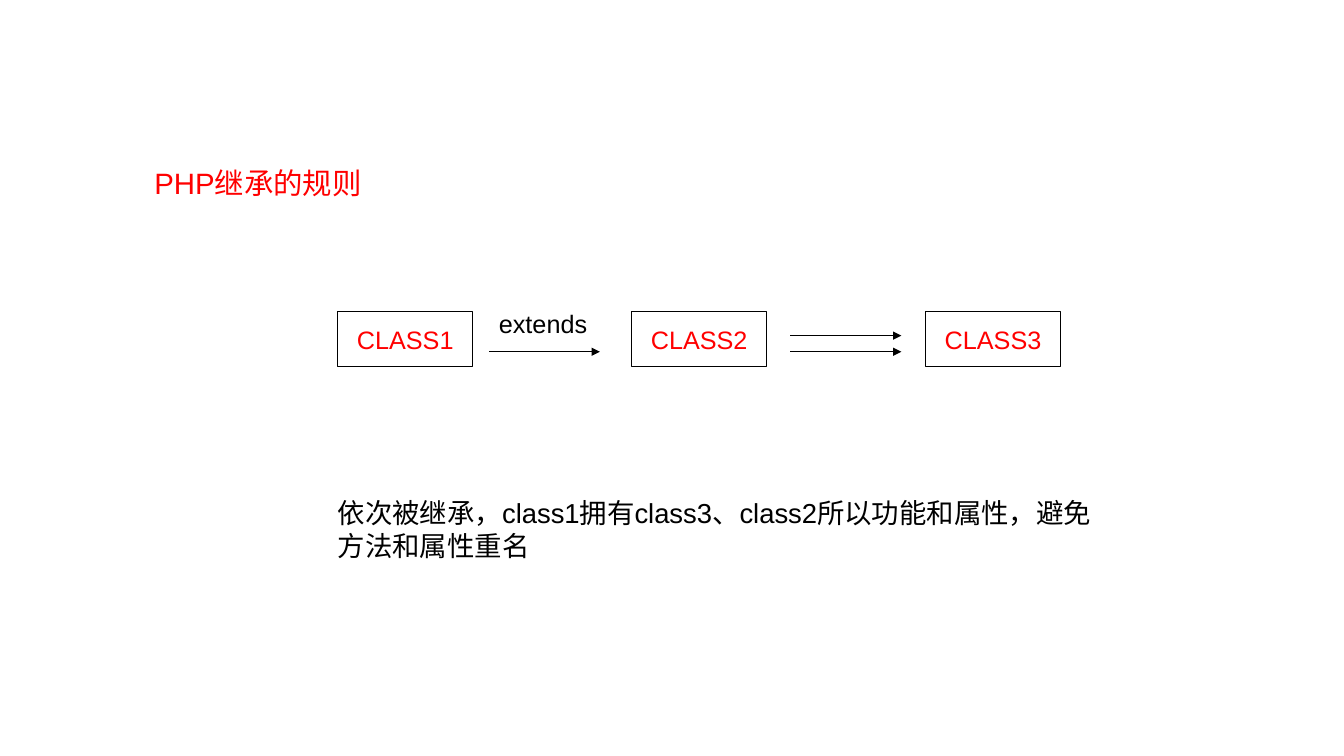
import dataclasses

import lxml.etree
import pptx
import pptx.dml.color
import pptx.enum.shapes
import pptx.enum.text
import pptx.oxml.ns
import pptx.shapes.base
import pptx.slide
import pptx.util

Inches = pptx.util.Inches
Align = pptx.enum.text.PP_ALIGN
Anchor = pptx.enum.text.MSO_ANCHOR

HUES = {"ink": "000000", "key": "FF0000", "paper": "FFFFFF"}
FONT = "Arial"
LINE = 0.75

# Class row: three boxes at an equal pitch
LEFT, TOP, PITCH = 3.35, 3.09, 2.915
WIDE, HIGH = 1.34, 0.55
REACH = 1.1


@dataclasses.dataclass
class Label:
    text: str
    size: float
    hue: str
    align: Align = Align.LEFT
    anchor: Anchor = Anchor.TOP
    wrap: bool = True
    inset: tuple[float, float] = (0, 0)


@dataclasses.dataclass
class Arrow:
    left: float
    top: float


ARROWS = [Arrow(4.85, 3.49), Arrow(7.84, 3.49), Arrow(7.84, 3.33)]


def color(name: str) -> pptx.dml.color.RGBColor:
    return pptx.dml.color.RGBColor.from_string(HUES[name])


def write(shape: pptx.shapes.base.BaseShape, label: Label) -> None:
    frame = shape.text_frame
    frame.auto_size = pptx.enum.text.MSO_AUTO_SIZE.NONE
    frame.word_wrap = label.wrap
    frame.vertical_anchor = label.anchor
    side, edge = label.inset
    frame.margin_left = frame.margin_right = Inches(side)
    frame.margin_top = frame.margin_bottom = Inches(edge)
    para = frame.paragraphs[0]
    para.text = label.text
    para.alignment = label.align
    para.font.name = FONT
    para.font.size = pptx.util.Pt(label.size)
    para.font.color.rgb = color(label.hue)


def add_text(slide: pptx.slide.Slide, left: float, top: float,
             wide: float, high: float, label: Label) -> None:
    box = slide.shapes.add_textbox(
        Inches(left), Inches(top), Inches(wide), Inches(high))
    write(box, label)


def add_class(slide: pptx.slide.Slide, index: int) -> None:
    box = slide.shapes.add_shape(
        pptx.enum.shapes.MSO_SHAPE.RECTANGLE, Inches(LEFT + index * PITCH),
        Inches(TOP), Inches(WIDE), Inches(HIGH))
    box.shadow.inherit = False
    box.fill.solid()
    box.fill.fore_color.rgb = color("paper")
    box.line.color.rgb = color("ink")
    box.line.width = pptx.util.Pt(LINE)
    write(box, Label(f"CLASS{index + 1}", 18, "key", Align.CENTER,
                     Anchor.MIDDLE, False, (0.1, 0.05)))


def add_arrow(slide: pptx.slide.Slide, arrow: Arrow) -> None:
    link = slide.shapes.add_connector(
        pptx.enum.shapes.MSO_CONNECTOR.STRAIGHT,
        Inches(arrow.left), Inches(arrow.top),
        Inches(arrow.left + REACH), Inches(arrow.top))
    link.line.color.rgb = color("ink")
    link.line.width = pptx.util.Pt(LINE)
    name = pptx.oxml.ns.qn
    props = link._element.spPr
    line = props.find(name("a:ln"))
    lxml.etree.SubElement(line, name("a:tailEnd"), type="triangle")
    lxml.etree.SubElement(props, name("a:effectLst"))


def main() -> None:
    deck = pptx.Presentation()
    deck.slide_width, deck.slide_height = Inches(13.33), Inches(7.5)
    slide = deck.slides.add_slide(deck.slide_layouts.get_by_name("Title Only"))

    # Heading
    title = slide.shapes.title
    title.left, title.top = Inches(1.53), Inches(1.64)
    title.width, title.height = Inches(2.7), Inches(0.35)
    write(title, Label("PHP继承的规则", 21, "key"))

    # Rule in words
    add_text(slide, LEFT, 4.92, 7.69, 0.66, Label(
        "依次被继承，class1拥有class3、class2所以功能和属性，避免方法和属性重名",
        19.6, "ink"))

    # Chain of classes
    for index in range(3):
        add_class(slide, index)
    for arrow in ARROWS:
        add_arrow(slide, arrow)
    add_text(slide, 4.85, 3.01, 1.07, 0.4,
             Label("extends", 18, "ink", wrap=False, inset=(0.1, 0.05)))

    deck.save("out.pptx")


if __name__ == "__main__":
    main()
